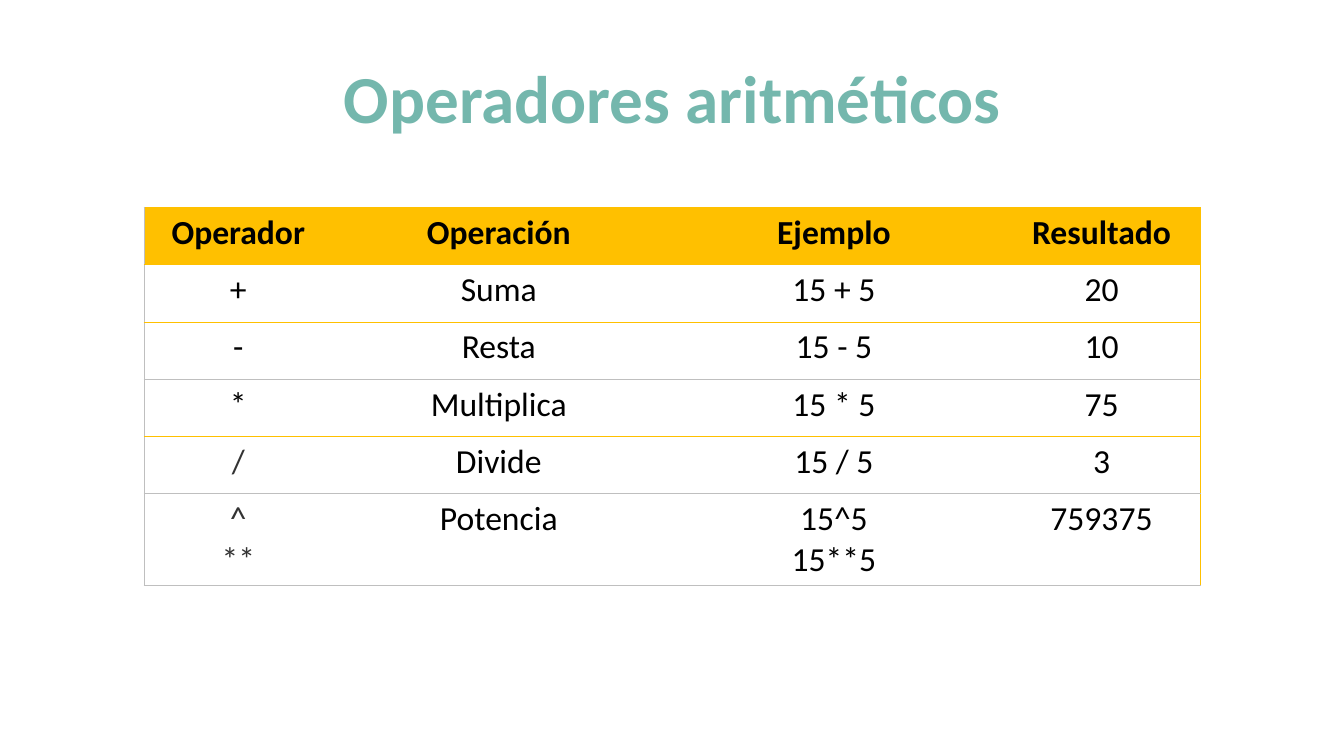
from lxml.etree import SubElement
from pptx import Presentation
from pptx.dml.color import RGBColor
from pptx.enum.text import MSO_ANCHOR as Anchor, PP_ALIGN as Align
from pptx.oxml.ns import qn
from pptx.util import Cm, Pt

FONT = "Calibri"
TEAL, GOLD, GREY = "74B7AD", "FFC000", "BFBFBF"
BLACK, CHARCOAL, WHITE = "000000", "333333", "FFFFFF"
PLAIN_TABLE_STYLE = "{2D5ABB26-0587-4C30-8999-92F81FD0307C}"

COLUMN_WIDTHS = (4.75, 8.38, 8.51, 4.98)
ROW_HEIGHT = 1.44
ROWS = (
    ("Operador", "Operación", "Ejemplo", "Resultado"),
    ("+", "Suma", "15 + 5", "20"),
    ("-", "Resta", "15 - 5", "10"),
    ("*", "Multiplica", "15 * 5", "75"),
    ("/", "Divide", "15 / 5", "3"),
    ("^\n**", "Potencia", "15^5\n15**5", "759375"),
)


def color(value):
    return RGBColor.from_string(value)


def write(frame, text, size, ink, bold=False):
    """Write centred text, one paragraph per line."""
    for index, line in enumerate(text.split("\n")):
        para = frame.paragraphs[0] if index == 0 else frame.add_paragraph()
        para.alignment = Align.CENTER
        span = para.add_run()
        span.text = line
        span.font.name = FONT
        span.font.size = Pt(size)
        span.font.bold = bold
        span.font.color.rgb = color(ink)


def set_borders(cell, borders):
    """Draw the sides given in L, R, T, B order; None leaves a side bare."""
    properties = cell._tc.get_or_add_tcPr()
    for side, ink in zip("LRTB", borders):
        line = SubElement(properties, qn(f"a:ln{side}"), w=str(Pt(0.5)))
        if ink is None:
            SubElement(line, qn("a:noFill"))
        else:
            fill = SubElement(line, qn("a:solidFill"))
            SubElement(fill, qn("a:srgbClr"), val=ink)


def add_title(page, left, top, width, height):
    title = page.shapes.title
    title.left, title.top = Cm(left), Cm(top)
    title.width, title.height = Cm(width), Cm(height)
    title.text_frame.vertical_anchor = Anchor.MIDDLE
    write(title.text_frame, "Operadores aritméticos", 48, TEAL, bold=True)


def add_operator_table(page, left, top):
    row_count, column_count = len(ROWS), len(COLUMN_WIDTHS)
    box = page.shapes.add_table(
        row_count, column_count, Cm(left), Cm(top),
        Cm(sum(COLUMN_WIDTHS)), Cm(ROW_HEIGHT * row_count))
    table = box.table
    table.first_row = table.horz_banding = False
    table._tbl.tblPr.find(qn("a:tableStyleId")).text = PLAIN_TABLE_STYLE

    for column, width in zip(table.columns, COLUMN_WIDTHS):
        column.width = Cm(width)

    # Row lines alternate between gold and grey
    row_lines = [GOLD, GOLD, GOLD, GREY, GOLD, GREY, GREY]
    for r, texts in enumerate(ROWS):
        table.rows[r].height = Cm(ROW_HEIGHT)
        for c, text in enumerate(texts):
            cell = table.cell(r, c)
            cell.margin_left = cell.margin_right = Cm(0.03)
            cell.margin_top = cell.margin_bottom = Cm(0.13)
            cell.vertical_anchor = Anchor.TOP
            left_line = GREY if c == 0 else None
            right_line = GOLD if c == column_count - 1 else None
            set_borders(cell, (left_line, right_line,
                               row_lines[r], row_lines[r + 1]))
            cell.fill.solid()
            cell.fill.fore_color.rgb = color(GOLD if r == 0 else WHITE)
            ink = CHARCOAL if c == 0 and r >= 4 else BLACK
            write(cell.text_frame, text, 24, ink, bold=r == 0)


def main():
    deck = Presentation()
    deck.slide_width, deck.slide_height = Cm(33.87), Cm(19.05)
    page = deck.slides.add_slide(deck.slide_layouts[5])  # title only
    add_title(page, 2.34, 0.99, 29.21, 2.9)
    add_operator_table(page, 3.63, 5.23)
    deck.save("out.pptx")


if __name__ == "__main__":
    main()
